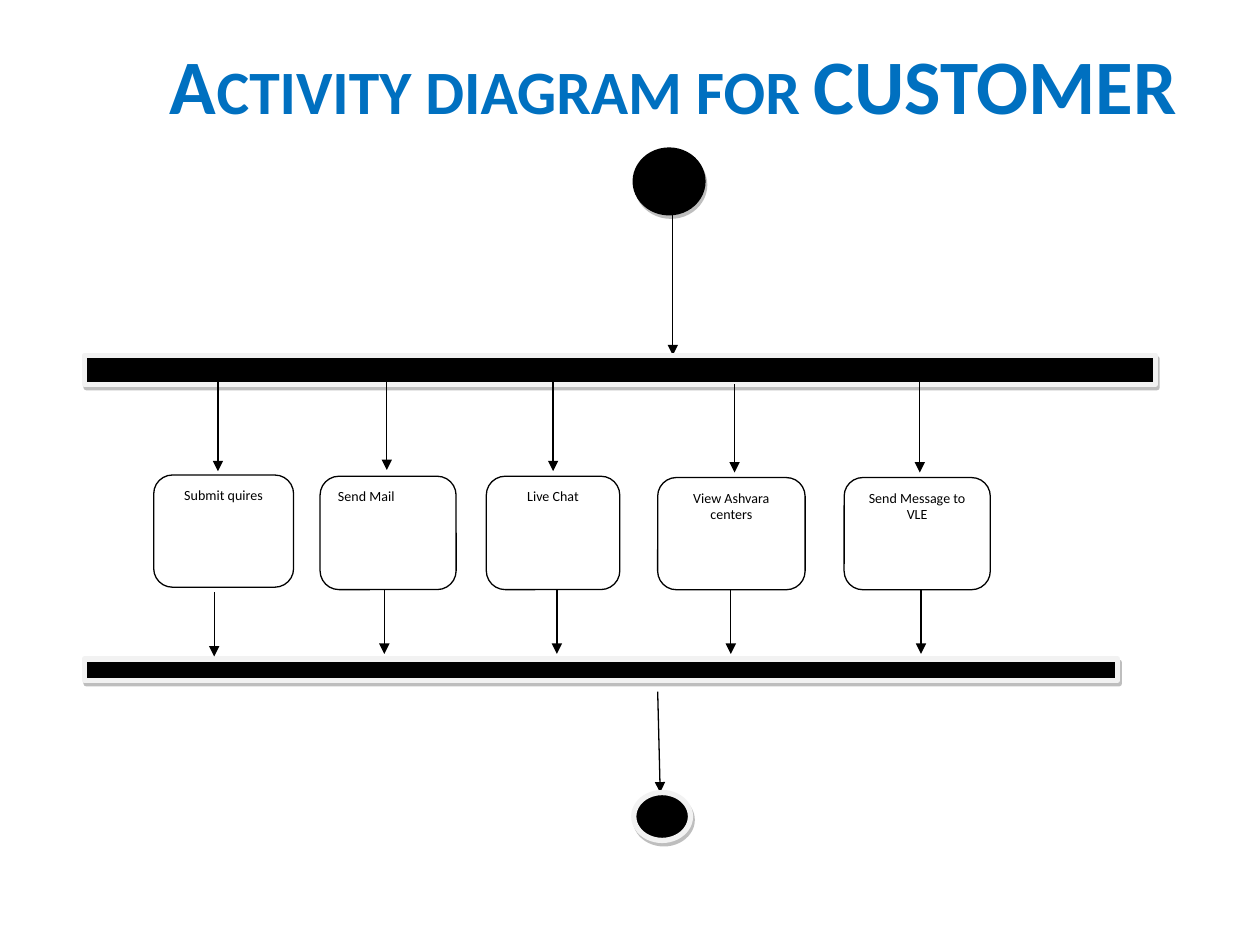
from pptx import Presentation
from pptx.dml.color import RGBColor
from pptx.enum.shapes import MSO_CONNECTOR, MSO_SHAPE
from pptx.enum.text import MSO_ANCHOR, MSO_AUTO_SIZE, PP_ALIGN
from pptx.oxml.ns import qn
from pptx.util import Inches, Pt
from lxml.etree import SubElement

COLS, ROWS = 100, 75


def rgb(value):
    return RGBColor.from_string(value)


def write(tf, text, size=8, color="000000", bold=False, align=None,
          after=0, small_caps=False, font="Calibri"):
    p = tf.paragraphs[0]
    p.alignment = align
    p.space_after = Pt(after)
    r = p.add_run()
    r.text = text
    r.font.name, r.font.size, r.font.bold = font, Pt(size), bold
    r.font.color.rgb = rgb(color)
    if small_caps:
        r.font._element.set("cap", "small")


def add_shadow(sp):
    """Give the shape a hard grey shadow down and to the right."""
    effects = sp._element.spPr.find(qn("a:effectLst"))
    shadow = SubElement(effects, qn("a:outerShdw"), blurRad="0",
                        dist=str(Pt(2.2)), dir=str(63 * 60000),
                        algn="ctr", rotWithShape="0")
    color = SubElement(shadow, qn("a:srgbClr"), val="7F7F7F")
    SubElement(color, qn("a:alpha"), val="50000")


class ActivityDiagram:
    """Draws on one slide; lengths are columns and rows of the grid."""

    ink, paper, rim, accent = "000000", "FFFFFF", "F2F2F2", "0070C0"
    thin, thick = 0.75, 3

    def __init__(self, prs):
        self.col = prs.slide_width / COLS
        self.row = prs.slide_height / ROWS
        self.slide = prs.slides.add_slide(prs.slide_layouts[6])

    def place(self, x, y, w, h):
        return (round(x * self.col), round(y * self.row),
                round(w * self.col), round(h * self.row))

    def title(self, text, *box):
        tf = self.slide.shapes.add_textbox(*self.place(*box)).text_frame
        tf.word_wrap = False
        tf.auto_size = MSO_AUTO_SIZE.SHAPE_TO_FIT_TEXT
        write(tf, text, size=44, color=self.accent, bold=True,
              small_caps=True)

    def shape(self, kind, box, fill, line=None, width=0):
        sp = self.slide.shapes.add_shape(kind, *self.place(*box))
        sp.shadow.inherit = False
        sp.fill.solid()
        sp.fill.fore_color.rgb = rgb(fill)
        if line:
            sp.line.color.rgb = rgb(line)
            sp.line.width = Pt(width)
        else:
            sp.line.fill.background()
        return sp

    def node(self, *box, rim=None):
        add_shadow(self.shape(MSO_SHAPE.OVAL, box, self.ink, rim, self.thick))

    def bar(self, *box):
        add_shadow(self.shape(MSO_SHAPE.RECTANGLE, box, self.ink, self.rim,
                              self.thick))

    def activity(self, text, *box, align=PP_ALIGN.CENTER):
        sp = self.shape(MSO_SHAPE.ROUNDED_RECTANGLE, box, self.paper,
                        self.ink, self.thin)
        tf = sp.text_frame
        tf.word_wrap = True
        tf.vertical_anchor = MSO_ANCHOR.TOP
        write(tf, text, align=align, after=10)

    def arrow(self, x1, y1, x2, y2):
        ends = self.place(x1, y1, x2, y2)
        cx = self.slide.shapes.add_connector(MSO_CONNECTOR.STRAIGHT, *ends)
        cx.line.color.rgb = rgb(self.ink)
        cx.line.width = Pt(self.thin)
        SubElement(cx.line._get_or_add_ln(), qn("a:tailEnd"), type="triangle")
        SubElement(cx._element.spPr, qn("a:effectLst"))


# Label, alignment, box, then (x, top, bottom) of the arrows in and out
ACTIVITIES = [
    ("Submit quires", PP_ALIGN.CENTER, (12.2, 37.7, 11.1, 8.9),
     (17.3, 29.8, 37.4), (17, 47, 52.1)),
    ("Send Mail", PP_ALIGN.LEFT, (25.4, 37.8, 10.8, 9),
     (30.7, 29.8, 37.3), (30.5, 46.8, 51.9)),
    ("Live Chat", PP_ALIGN.CENTER, (38.6, 37.8, 10.6, 9),
     (43.9, 29.8, 37.4), (44.2, 46.8, 51.9)),
    ("View Ashvara centers", PP_ALIGN.CENTER, (52.2, 37.9, 11.7, 8.9),
     (58.3, 30.5, 37.5), (58, 46.8, 51.9)),
    ("Send Message to VLE", PP_ALIGN.CENTER, (67, 37.9, 11.6, 8.9),
     (73, 30.2, 37.5), (73.1, 46.8, 51.9)),
]


def main():
    prs = Presentation()
    prs.slide_width, prs.slide_height = Inches(10), Inches(7.5)
    s = ActivityDiagram(prs)

    s.title("Activity diagram for CUSTOMER", 12.5, 2.5, 83.6, 8.4)
    s.node(50.2, 11.7, 5.8, 5.4)
    s.arrow(53.4, 17, 53.4, 28.2)
    s.bar(6.7, 52.3, 82, 1.7)
    s.arrow(52.2, 54.9, 52.4, 62.9)
    s.bar(6.7, 28.2, 85, 2.3)
    for text, align, box, *arrows in ACTIVITIES:
        for x, top, bottom in arrows:
            s.arrow(x, top, x, bottom)
        s.activity(text, *box, align=align)
    s.node(50.3, 62.9, 4.5, 3.8, rim=s.rim)

    prs.save("out.pptx")


if __name__ == "__main__":
    main()
